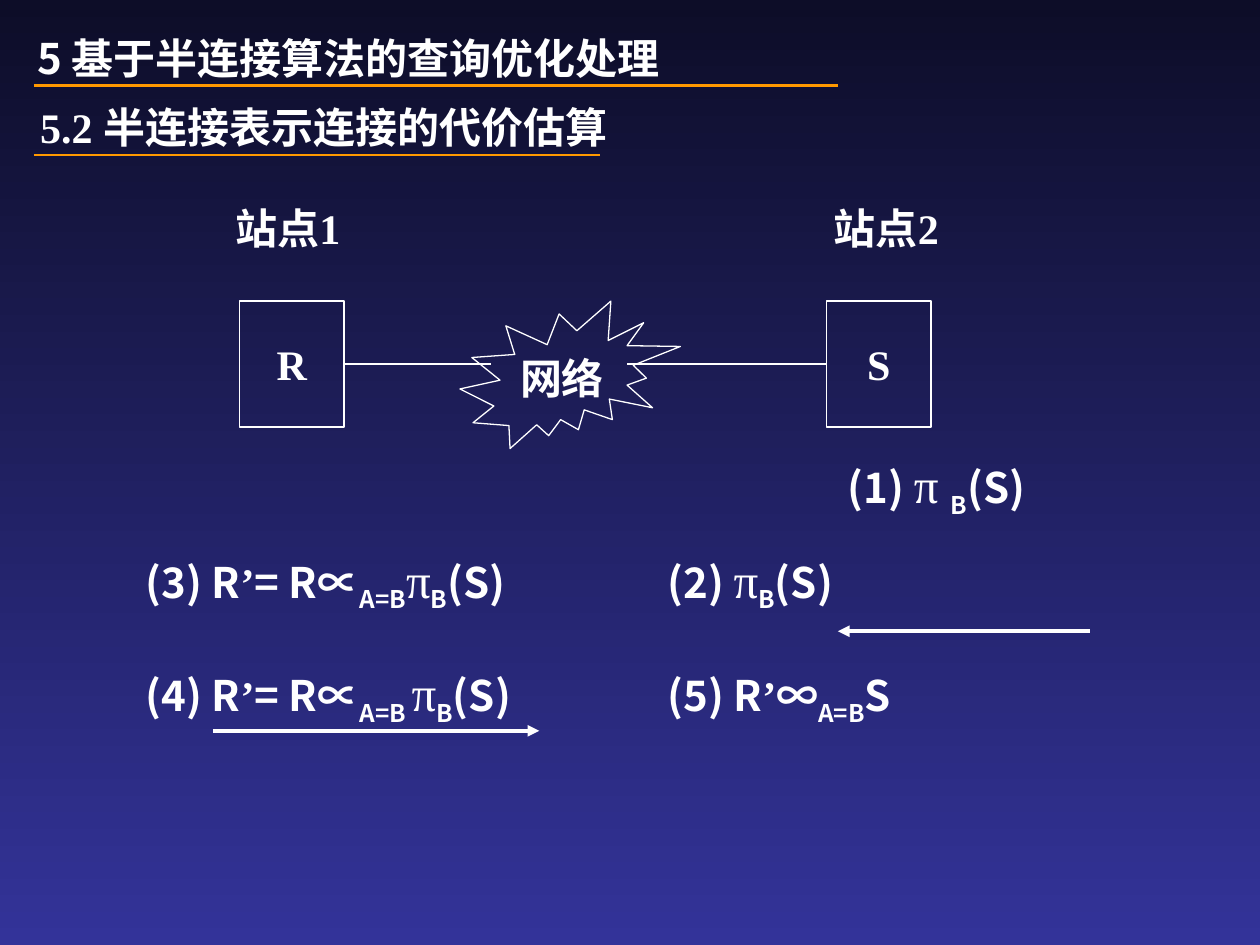
from dataclasses import dataclass

import pptx
import pptx.dml.color
import pptx.enum.shapes
import pptx.enum.text
import pptx.oxml.ns
import pptx.util
from lxml import etree

Inches = pptx.util.Inches
Pt = pptx.util.Pt
RGBColor = pptx.dml.color.RGBColor
Shapes = pptx.enum.shapes.MSO_SHAPE
qn = pptx.oxml.ns.qn

WHITE = RGBColor(0xFF, 0xFF, 0xFF)
ORANGE = RGBColor(0xFF, 0x99, 0x00)
NIGHT = RGBColor(0x0D, 0x0D, 0x28)
INDIGO = RGBColor(0x33, 0x33, 0x99)
SANS = "Noto Sans CJK SC"
SERIF = "Times New Roman"


@dataclass(frozen=True)
class Run:
    text: str
    font: str = SANS
    size: float = 24
    bold: bool = True
    subscript: bool = False


@dataclass(frozen=True)
class TextBlock:
    left: float
    top: float
    width: float
    height: float
    lines: tuple[tuple[Run, ...], ...]
    tab: float = 0
    gap: float = 0


@dataclass(frozen=True)
class Node:
    label: Run
    kind: Shapes
    left: float
    width: float
    height: float


@dataclass(frozen=True)
class Line:
    start: tuple[float, float]
    end: tuple[float, float]
    color: RGBColor
    width: float
    arrow: bool = False


def sub(text: str) -> Run:
    return Run(text, subscript=True)


def pi(text: str = "π") -> Run:
    return Run(text, font=SERIF, size=28, bold=False)


PRIME = Run("’", font=SERIF)
PROJECTION = (pi(), sub("B"), Run("(S)"))
SEMIJOIN = (PRIME, Run("= R∝"))

TEXT_BLOCKS = (
    TextBlock(0.2, 0.21, 6.69, 0.5, ((Run("5 基于半连接算法的查询优化处理"),),)),
    TextBlock(0.22, 0.76, 5, 0.5, ((Run("5.2 ", font=SERIF), Run("半连接表示连接的代价估算")),)),
    TextBlock(1.77, 1.56, 1.5, 0.5, ((Run("站点"), Run("1", font=SERIF)),)),
    TextBlock(6.52, 1.56, 1.5, 0.5, ((Run("站点"), Run("2", font=SERIF)),)),
    TextBlock(6.63, 3.56, 2.6, 0.57, ((Run("(1) "), pi("π "), sub("B"), Run("(S)")),)),
    TextBlock(1.06, 4.31, 8.42, 2.03, (
        (Run("(3) R"), *SEMIJOIN, sub("A=B"), *PROJECTION, Run("\t(2) "), *PROJECTION),
        (Run("(4) R"), *SEMIJOIN, sub("A=B "), *PROJECTION, Run("\t(5) R"), PRIME,
         Run("∞"), sub("A=B"), Run("S")),
    ), tab=4.14, gap=28),
)

NODE_TOP = 2.39
WIRE_Y = 2.89
SITE_R = Node(Run("R", font=SERIF), Shapes.RECTANGLE, 1.9, 0.83, 1)
SITE_S = Node(Run("S", font=SERIF), Shapes.RECTANGLE, 6.56, 0.83, 1)
NETWORK = Node(Run("网络"), Shapes.EXPLOSION2, 3.65, 1.75, 1.17)

RULES_AND_ARROWS = (
    Line((0.27, 0.68), (6.65, 0.68), ORANGE, 1.5),
    Line((0.27, 1.23), (4.76, 1.23), ORANGE, 1.5),
    Line((8.65, 5.01), (6.65, 5.01), WHITE, 2.25, arrow=True),
    Line((1.69, 5.8), (4.28, 5.8), WHITE, 2.25, arrow=True),
)


def add_run(paragraph, text: str, *, font: str, size: float, bold: bool, subscript: bool) -> None:
    run = paragraph.add_run()
    run.text = text
    run.font.name = font
    run.font.size = Pt(size)
    run.font.bold = bold
    run.font.color.rgb = WHITE
    properties = run.font._element
    etree.SubElement(properties, qn("a:ea"), typeface=font)
    if subscript:
        properties.set("baseline", "-25000")


def write_runs(paragraph, runs: tuple[Run, ...]) -> None:
    for run in runs:
        add_run(paragraph, run.text, font=run.font, size=run.size,
                bold=run.bold, subscript=run.subscript)


def add_text_block(slide, block: TextBlock) -> None:
    box = slide.shapes.add_textbox(
        Inches(block.left), Inches(block.top), Inches(block.width), Inches(block.height))
    frame = box.text_frame
    frame.word_wrap = True
    for index, runs in enumerate(block.lines):
        paragraph = frame.add_paragraph() if index else frame.paragraphs[0]
        if index:
            paragraph.space_before = Pt(block.gap)
        if block.tab:
            tabs = etree.SubElement(paragraph._p.get_or_add_pPr(), qn("a:tabLst"))
            etree.SubElement(tabs, qn("a:tab"), pos=str(Inches(block.tab)), algn="l")
        write_runs(paragraph, runs)


def add_node(slide, node: Node):
    shape = slide.shapes.add_shape(
        node.kind, Inches(node.left), Inches(NODE_TOP), Inches(node.width), Inches(node.height))
    shape.shadow.inherit = False
    shape.fill.background()
    shape.line.color.rgb = WHITE
    shape.line.width = Pt(0.75)
    frame = shape.text_frame
    frame.word_wrap = False
    frame.vertical_anchor = pptx.enum.text.MSO_ANCHOR.MIDDLE
    paragraph = frame.paragraphs[0]
    paragraph.alignment = pptx.enum.text.PP_ALIGN.CENTER
    write_runs(paragraph, (node.label,))
    return shape


def add_line(slide, line: Line):
    connector = slide.shapes.add_connector(
        pptx.enum.shapes.MSO_CONNECTOR.STRAIGHT,
        *(Inches(value) for value in line.start + line.end))
    connector.line.color.rgb = line.color
    connector.line.width = Pt(line.width)
    if line.arrow:
        etree.SubElement(connector.line._get_or_add_ln(), qn("a:tailEnd"), type="triangle")
    etree.SubElement(connector._element.spPr, qn("a:effectLst"))
    return connector


def paint_background(slide) -> None:
    fill = slide.background.fill
    fill.gradient()
    fill.gradient_angle = 270
    for stop, position, color in zip(fill.gradient_stops, (0, 1), (NIGHT, INDIGO)):
        stop.position = position
        stop.color.rgb = color


def main() -> None:
    presentation = pptx.Presentation()
    presentation.slide_width = Inches(10)
    presentation.slide_height = Inches(7.5)
    slide = presentation.slides.add_slide(presentation.slide_layouts[6])
    paint_background(slide)

    site_r = add_node(slide, SITE_R)
    site_s = add_node(slide, SITE_S)
    add_node(slide, NETWORK)
    left_wire = add_line(slide, Line((2.73, WIRE_Y), (3.9, WIRE_Y), WHITE, 0.75))
    left_wire.begin_connect(site_r, 3)
    right_wire = add_line(slide, Line((4.98, WIRE_Y), (6.56, WIRE_Y), WHITE, 0.75))
    right_wire.end_connect(site_s, 1)

    for block in TEXT_BLOCKS:
        add_text_block(slide, block)
    for line in RULES_AND_ARROWS:
        add_line(slide, line)
    presentation.save("out.pptx")


if __name__ == "__main__":
    main()
